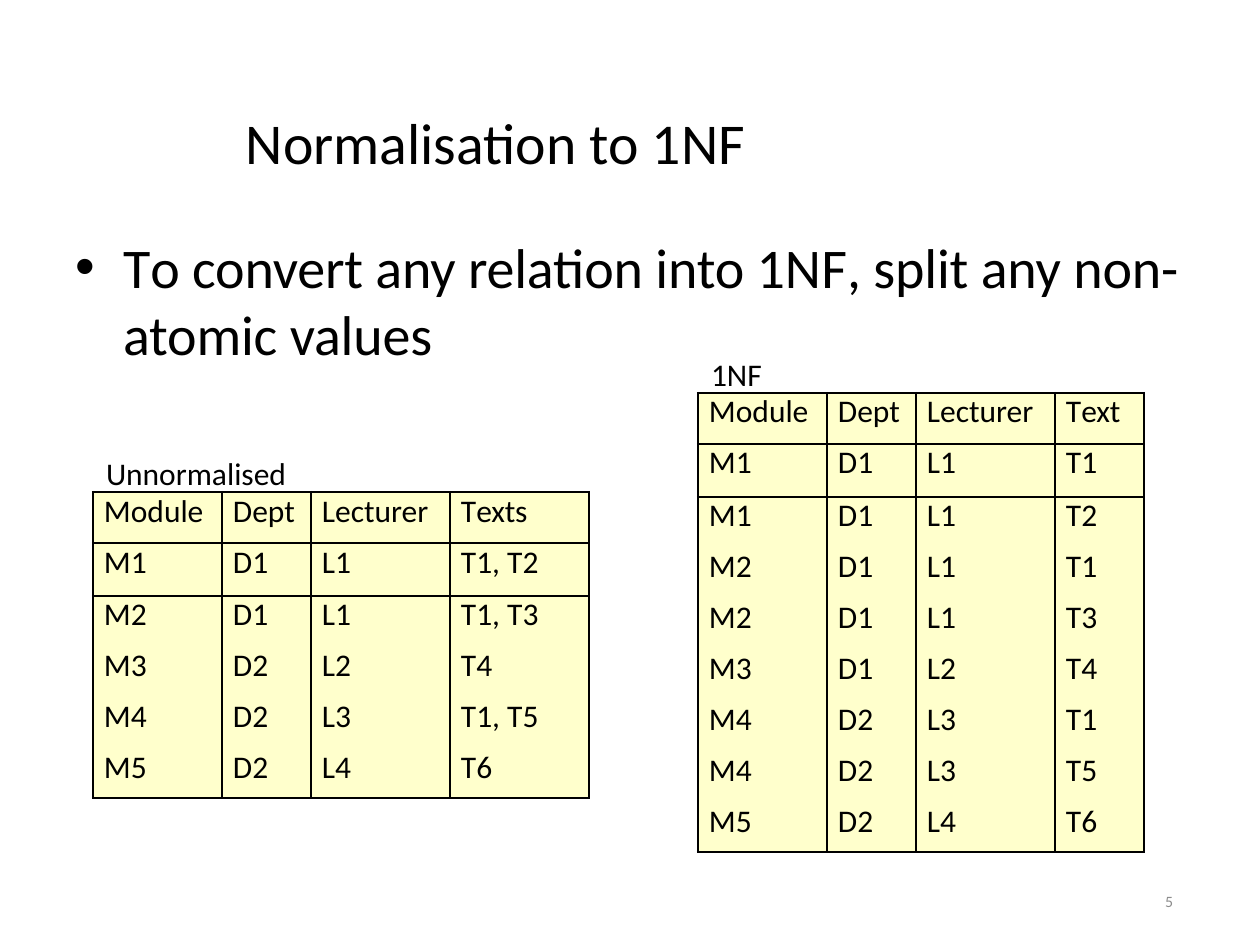
from lxml import etree
from pptx import Presentation
from pptx import util as u
from pptx.dml.color import RGBColor
from pptx.enum import text
from pptx.oxml.ns import qn

COLORS = {"ink": "000000", "cell": "FFFFCC", "number": "8C8C8C"}
FONT = "Calibri"
LINE_POINTS = 1.5
MODULE, DEPT, LECTURER, TEXTS = 129, 89, 139, 139

UNNORMALISED = [
    ["Module", "Dept", "Lecturer", [("T", -1.6), ("exts", -0.1)]],
    ["M1", "D1", "L1", "T1, T2"],
    ["M2", "D1", "L1", "T1, T3"],
    ["M3", "D2", "L2", "T4"],
    ["M4", "D2", "L3", "T1, T5"],
    ["M5", "D2", "L4", "T6"],
]
FIRST_FORM = [
    ["Module", "Dept", "Lecturer", [("T", -1.6), ("ext", -0.1)]],
    ["M1", "D1", "L1", "T1"],
    ["M1", "D1", "L1", "T2"],
    ["M2", "D1", "L1", "T1"],
    ["M2", "D1", "L1", "T3"],
    ["M3", "D1", "L2", "T4"],
    ["M4", "D2", "L3", "T1"],
    ["M4", "D2", "L3", "T5"],
    ["M5", "D2", "L4", "T6"],
]


def px(length):
    return u.Inches(length / 126)


def color(name):
    return RGBColor.from_string(COLORS[name])


def add_runs(para, content, size, ink="ink"):
    """Content is a string, or a list of (words, letter spacing in points)."""
    if isinstance(content, str):
        content = [(content, 0)]
    for words, spacing in content:
        span = para.add_run()
        span.text = words
        span.font.size = u.Pt(size)
        span.font.name = FONT
        span.font.bold = False
        span.font.color.rgb = color(ink)
        if spacing:
            span.font._element.set("spc", str(round(spacing * 100)))


def add_box(page, box, anchor=text.MSO_ANCHOR.TOP, wrap=True):
    frame = page.shapes.add_textbox(*map(px, box)).text_frame
    frame.margin_left = frame.margin_top = 0
    frame.margin_right = frame.margin_bottom = 0
    frame.word_wrap = wrap
    frame.vertical_anchor = anchor
    return frame


def indent(para, left, first=0):
    properties = para._p.get_or_add_pPr()
    properties.set("marL", str(px(left)))
    properties.set("indent", str(px(first)))
    return properties


def add_title(page, box):
    para = add_box(page, box, text.MSO_ANCHOR.MIDDLE).paragraphs[0]
    indent(para, 159)
    add_runs(para, "Normalisation to 1NF", 33)


def add_body(page, box):
    frame = add_box(page, box)
    bullet = frame.paragraphs[0]
    properties = indent(bullet, 49, -48)
    etree.SubElement(properties, qn("a:buFont"), typeface="Arial")
    etree.SubElement(properties, qn("a:buChar"), char="•")
    add_runs(bullet, [("T", -2.9), ("o convert any relation into 1N", -0.1),
                      ("F", -3.2), (", split any non-", -0.1)], 32)
    second = frame.add_paragraph()
    indent(second, 49)
    add_runs(second, [("atomic values", -0.1)], 32)


def add_borders(cell, visible):
    properties = cell._tc.get_or_add_tcPr()
    for side in "LRTB":
        line = etree.SubElement(properties, qn(f"a:ln{side}"),
                                w=str(u.Pt(LINE_POINTS)))
        if side in visible:
            fill = etree.SubElement(line, qn("a:solidFill"))
            etree.SubElement(fill, qn("a:srgbClr"), val=COLORS["ink"])
        else:
            etree.SubElement(line, qn("a:noFill"))


def add_relation(page, left, top, label, widths, rows):
    """A small label above a grid ruled below its first two rows."""
    caption = add_box(page, (left + 13, top - 38, 184, 35), wrap=False)
    add_runs(caption.paragraphs[0], label, 18)

    last = len(rows) - 1
    heights = [51, 53] + [51] * (last - 2) + [49]
    box = (left, top, sum(widths), sum(heights))
    table = page.shapes.add_table(len(rows), len(widths), *map(px, box)).table
    table.first_row = table.horz_banding = False
    for column, width in zip(table.columns, widths):
        column.width = px(width)
    for r, (values, height) in enumerate(zip(rows, heights)):
        table.rows[r].height = px(height)
        visible = "LR" + ("T" if r <= 2 else "") + ("B" if r in (0, 1, last) else "")
        for c, value in enumerate(values):
            cell = table.cell(r, c)
            cell.margin_left = px(11)
            cell.margin_top = cell.margin_right = cell.margin_bottom = 0
            add_borders(cell, visible)
            cell.fill.solid()
            cell.fill.fore_color.rgb = color("cell")
            add_runs(cell.text_frame.paragraphs[0], value, 18)


def add_page_number(page, box):
    para = add_box(page, box, text.MSO_ANCHOR.MIDDLE).paragraphs[0]
    para.alignment = text.PP_ALIGN.RIGHT
    add_runs(para, "5", 9, "number")


def main():
    deck = Presentation()
    deck.slide_width, deck.slide_height = px(1260), px(945)
    page = deck.slides.add_slide(deck.slide_layouts[6])

    add_title(page, (87, 50, 1086, 183))
    add_page_number(page, (889, 876, 284, 50))
    add_body(page, (74, 232, 1105, 130))
    add_relation(page, 93, 492, "Unnormalised",
                 [MODULE, DEPT, LECTURER, TEXTS], UNNORMALISED)
    add_relation(page, 698, 393, "1NF",
                 [MODULE, DEPT, LECTURER, DEPT], FIRST_FORM)

    deck.save("out.pptx")


if __name__ == "__main__":
    main()
